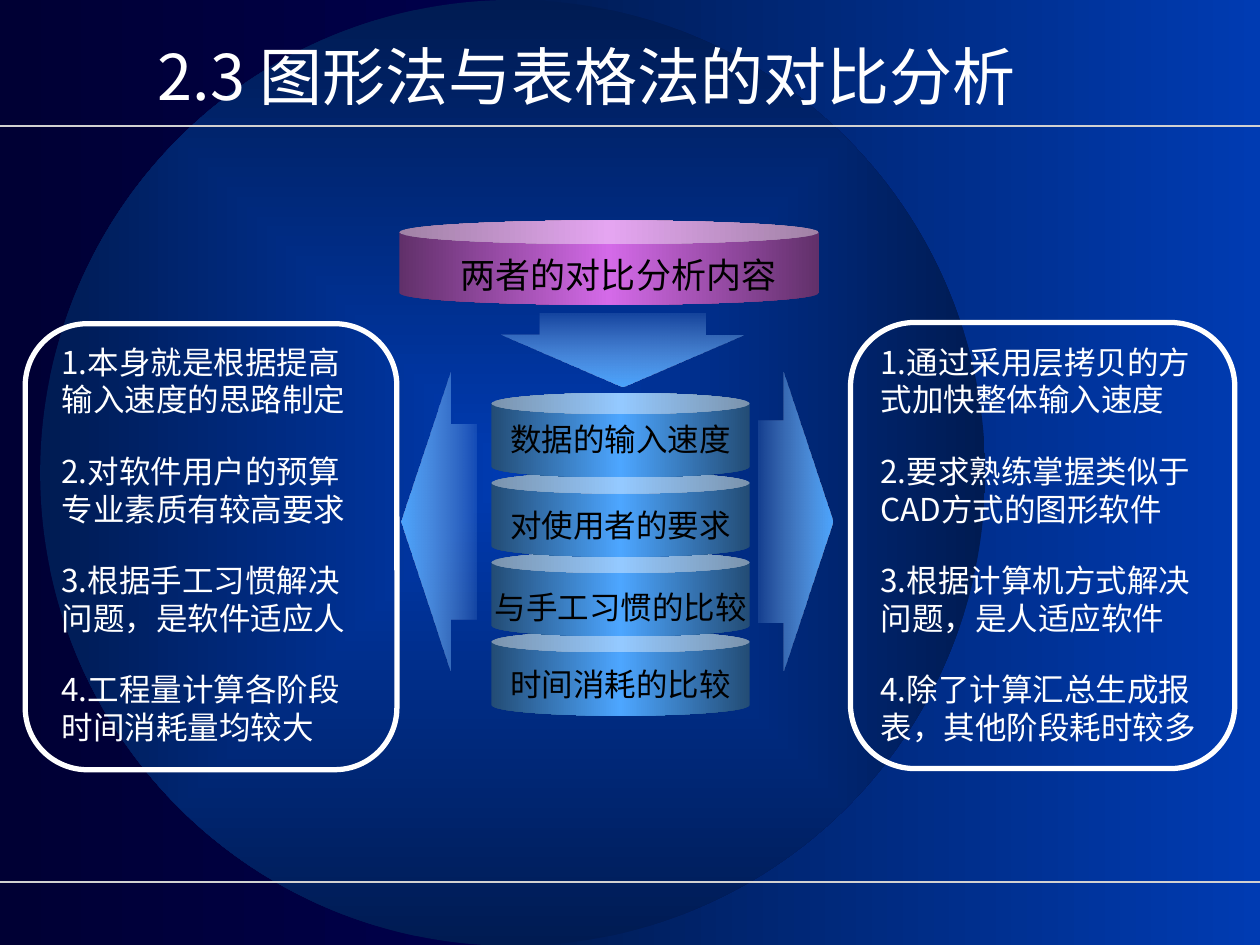
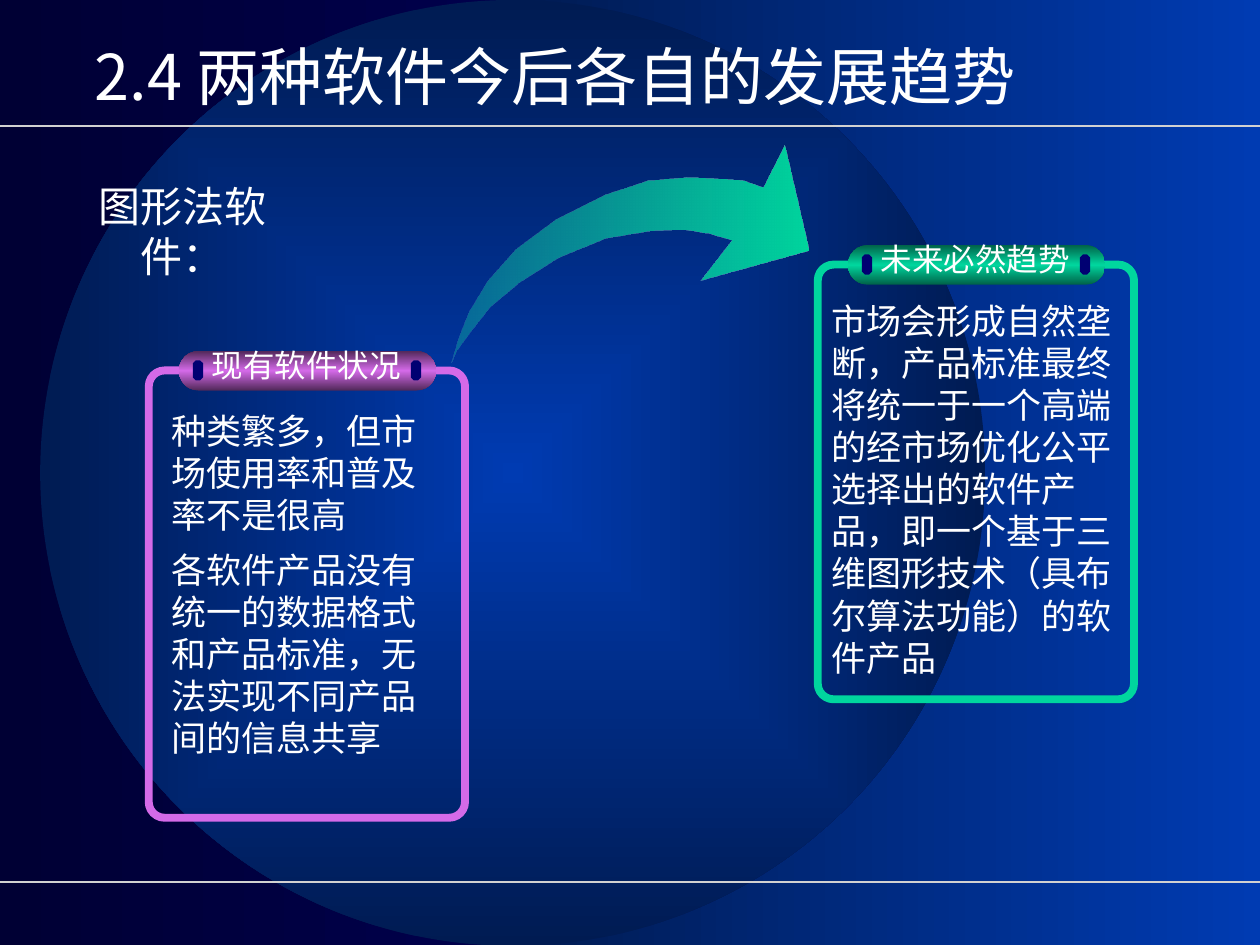
import pptx
import pptx.dml.color
import pptx.enum.shapes
import pptx.enum.text
import pptx.oxml
import pptx.oxml.ns
import pptx.util
from lxml import etree

Pt = pptx.util.Pt
RGBColor = pptx.dml.color.RGBColor
SHAPE = pptx.enum.shapes.MSO_SHAPE
ALIGN = pptx.enum.text.PP_ALIGN
ANCHOR = pptx.enum.text.MSO_ANCHOR
qn = pptx.oxml.ns.qn

WHITE = RGBColor(0xFF, 0xFF, 0xFF)
BLACK = RGBColor(0, 0, 0)
NAVY = RGBColor(0x00, 0x00, 0x72)
NIGHT = RGBColor(0x00, 0x00, 0x34)
ROYAL = RGBColor(0x00, 0x3B, 0xB2)
DEEP_ROYAL = RGBColor(0x00, 0x1B, 0x52)
RULE_GREY = RGBColor(0xD1, 0xD1, 0xD1)
SKY = RGBColor(0x4D, 0xA6, 0xFF)
PALE_SKY = RGBColor(0x9D, 0xCD, 0xFE)
DARK_SKY = RGBColor(0x23, 0x4C, 0x75)
VIOLET = RGBColor(0xD4, 0x6A, 0xE8)
DARK_VIOLET = RGBColor(0x61, 0x30, 0x6A)
DEEP_VIOLET = RGBColor(0x51, 0x28, 0x59)
GREEN = RGBColor(0x00, 0xD6, 0x9E)
PALE_GREEN = RGBColor(0x16, 0xD8, 0xA6)
DARK_GREEN = RGBColor(0x00, 0x62, 0x48)

CJK_FONT = "Noto Sans CJK SC"
LATIN_FONT = "Arial"
OPACITY = {PALE_SKY: 12, PALE_GREEN: 32}


def paint(shape, colors=(), angle=180, adjustments=(), outline=None, outline_width=3):
    """Fill with no, one or several evenly spaced colours; angle None spreads from the centre."""
    shape.shadow.inherit = False
    for index, value in enumerate(adjustments):
        shape.adjustments[index] = value
    if outline is None:
        shape.line.fill.background()
    else:
        shape.line.color.rgb = outline
        shape.line.width = Pt(outline_width)
    if not colors:
        shape.fill.background()
        return
    shape.fill.solid()
    shape.fill.fore_color.rgb = colors[0]
    if len(colors) == 1:
        return
    gradient = etree.Element(qn("a:gradFill"), rotWithShape="1")
    stops = etree.SubElement(gradient, qn("a:gsLst"))
    for index, color in enumerate(colors):
        position = 100000 * index // (len(colors) - 1)
        stop = etree.SubElement(stops, qn("a:gs"), pos=str(position))
        rgb = etree.SubElement(stop, qn("a:srgbClr"), val=str(color))
        if color in OPACITY:
            etree.SubElement(rgb, qn("a:alpha"), val=str(OPACITY[color] * 1000))
    if angle is None:
        spread = etree.SubElement(gradient, qn("a:path"), path="rect")
        etree.SubElement(spread, qn("a:fillToRect"), l="50000", t="50000", r="50000", b="50000")
    else:
        etree.SubElement(gradient, qn("a:lin"), ang=str(angle * 60000), scaled="0")
    solid = shape.element.spPr.find(qn("a:solidFill"))
    solid.getparent().replace(solid, gradient)


def add_text(slide, text, box, size, color=WHITE, font=LATIN_FONT,
             align=ALIGN.LEFT, anchor=ANCHOR.MIDDLE, wrap=True):
    shape = slide.shapes.add_textbox(*[Pt(length) for length in box])
    frame = shape.text_frame
    frame.word_wrap = wrap
    frame.vertical_anchor = anchor
    paragraph = frame.paragraphs[0]
    paragraph.alignment = align
    paragraph.line_spacing = Pt(1.2 * size)
    # Punctuation stays inside the box instead of hanging past its edge
    paragraph._p.get_or_add_pPr().set("hangingPunct", "0")
    run = paragraph.add_run()
    run.text = text
    run.font.size = Pt(size)
    run.font.name = font
    run.font.color.rgb = color
    etree.SubElement(run.font._element, qn("a:ea"), typeface=CJK_FONT)


presentation = pptx.Presentation()
presentation.slide_width, presentation.slide_height = Pt(720), Pt(540)
layout = presentation.slide_layouts[5]

# Shared background, title and rules
background = presentation.slide_master.background.fill
background.gradient()
background.gradient_angle = 180
for stop, color in zip(background.gradient_stops, (NAVY, NIGHT)):
    stop.color.rgb = color

slides = []
for title_text in ("2.3 图形法与表格法的对比分析", "2.4 两种软件今后各自的发展趋势"):
    slide = presentation.slides.add_slide(layout)
    title = slide.shapes.title
    title.left, title.top, title.width, title.height = Pt(23.76), Pt(10.08), Pt(563.76), Pt(66.24)
    title.text_frame.vertical_anchor = ANCHOR.MIDDLE
    paragraph = title.text_frame.paragraphs[0]
    paragraph.alignment = ALIGN.RIGHT
    run = paragraph.add_run()
    run.text = title_text
    run.font.size = Pt(36)
    run.font.name = CJK_FONT
    run.font.color.rgb = WHITE
    etree.SubElement(run.font._element, qn("a:ea"), typeface=CJK_FONT)
    slides.append(slide)
comparison, trend = slides

backdrop = []
for kind, box, angle in (
    (SHAPE.RECTANGLE, (294, 0, 426, 540), 180),
    (SHAPE.OVAL, (23, 0, 540, 540.5), None),
):
    shape = comparison.shapes.add_shape(kind, *[Pt(length) for length in box])
    paint(shape, (ROYAL, DEEP_ROYAL), angle)
    backdrop.append(shape)
for rule_top in (72, 504):
    rule = comparison.shapes.add_connector(
        pptx.enum.shapes.MSO_CONNECTOR.STRAIGHT, 0, Pt(rule_top), Pt(720), Pt(rule_top))
    rule.line.color.rgb = RULE_GREY
    rule.line.width = Pt(1)
    etree.SubElement(rule.element.spPr, qn("a:effectLst"))
    backdrop.append(rule)
# The backdrop moves to the layout, so both slides show it
for number, shape in enumerate(backdrop, start=20):
    shape.element.xpath(".//p:cNvPr")[0].set("id", str(number))
    layout.shapes.element.append(shape.element)

# Slide 1: comparison topics, stacked from the bottom up
CAN_PITCH = 45.4
topics = (
    ("数据的输入速度", 236.2),
    ("对使用者的要求", 285.8),
    ("与手工习惯的比较", 332.6),
    ("时间消耗的比较", 376.6),
)
for row, (topic, text_top) in reversed(list(enumerate(topics))):
    can = comparison.shapes.add_shape(
        SHAPE.CAN, Pt(280.8), Pt(224.6 + row * CAN_PITCH), Pt(147.6), Pt(48.2))
    paint(can, (DARK_SKY, SKY, DARK_SKY), adjustments=(0.25,))
    add_text(comparison, topic, (264.6, text_top, 180, 28.8), 18, BLACK,
             align=ALIGN.CENTER, anchor=ANCHOR.TOP, wrap=False)

for kind, box, colors, angle, adjustments in (
    (SHAPE.LEFT_ARROW, (229.7, 213.1, 42.5, 170), (PALE_SKY, SKY), 180, (0.656, 0.652)),
    (SHAPE.RIGHT_ARROW, (433.4, 213.1, 42.5, 170), (SKY, PALE_SKY), 180, (0.677, 0.662)),
    (SHAPE.DOWN_ARROW, (286.6, 179.3, 138.2, 41.8), (PALE_SKY, SKY), 90, (0.684, 0.708)),
    (SHAPE.CAN, (228.2, 126, 239.8, 48.2), (DARK_VIOLET, VIOLET, DARK_VIOLET), 180, (0.279,)),
):
    shape = comparison.shapes.add_shape(kind, *[Pt(length) for length in box])
    paint(shape, colors, angle, adjustments)
add_text(comparison, "两者的对比分析内容", (243.5, 141.1, 220, 31.7), 20, BLACK,
         align=ALIGN.CENTER, anchor=ANCHOR.TOP, wrap=False)

# Slide 1: one column of findings on each side
ITEM_PITCH = 62.4
columns = (
    ((14.4, 185, 212.4, 254.9), 28.1, 191, (
        "1.本身就是根据提高输入速度的思路制定",
        "2.对软件用户的预算专业素质有较高要求",
        "3.根据手工习惯解决问题，是软件适应人",
        "4.工程量计算各阶段时间消耗量均较大")),
    ((486, 184.3, 219.6, 254.9), 496.1, 202, (
        "1.通过采用层拷贝的方式加快整体输入速度",
        "2.要求熟练掌握类似于CAD方式的图形软件",
        "3.根据计算机方式解决问题，是人适应软件",
        "4.除了计算汇总生成报表，其他阶段耗时较多")),
)
for box, text_left, text_width, items in columns:
    border = comparison.shapes.add_shape(
        SHAPE.ROUNDED_RECTANGLE, *[Pt(length) for length in box])
    paint(border, adjustments=(0.167,), outline=WHITE)
    for row, item in enumerate(items):
        add_text(comparison, item,
                 (text_left, 192.2 + row * ITEM_PITCH, text_width, 50.4), 18, font=CJK_FONT)

# Slide 2: curved arrow from the present to the future
curve = (
    (257.8, 207.4), (261.4, 200.2), (268.6, 189.4), (280.1, 175), (296.6, 160.6),
    (319, 146.9), (346.3, 136.1), (370.8, 131.8), (391, 131), (405.4, 133.2),
    (418.3, 136.8), (399.6, 159.8), (462.2, 142.6), (447.8, 82.8), (435.6, 107.3),
    (424.1, 103), (410.4, 101.5), (392.4, 100.8), (370.1, 103), (345.6, 110.9),
    (318.2, 124.6), (295.2, 141.8), (278.6, 159.8), (267.8, 177.8), (262.1, 193),
    (259.2, 203.8),
)
builder = trend.shapes.build_freeform(*curve[0], scale=Pt(1))
builder.add_line_segments(curve[1:], close=True)
paint(builder.convert_to_shape(), (GREEN, PALE_GREEN))

# Slide 2: two framed panels with a pill-shaped heading
panels = (
    ("未来必然趋势", 467.3, 151.2, 248.4, GREEN, DARK_GREEN),
    ("现有软件状况", 85, 211.7, 255.6, VIOLET, DEEP_VIOLET),
)
for heading, left, top, height, color, shade in panels:
    frame = trend.shapes.add_shape(
        SHAPE.ROUNDED_RECTANGLE, Pt(left), Pt(top), Pt(180.7), Pt(height))
    paint(frame, adjustments=(0.05,), outline=color, outline_width=4.5)
    pill = trend.shapes.add_shape(
        SHAPE.ROUNDED_RECTANGLE, Pt(left + 17.3), Pt(top - 11.2), Pt(146.9), Pt(22.7))
    paint(pill, (shade, color, shade), 90, (0.5,))
    for offset in (25.2, 149.8):
        stud = trend.shapes.add_shape(
            SHAPE.OCTAGON, Pt(left + offset), Pt(top - 5.8), Pt(5.8), Pt(11.5))
        paint(stud, (NAVY,), adjustments=(0.293,))
    add_text(trend, heading, (left + 28.8, top - 17.6, 122.4, 28.8), 18, align=ALIGN.CENTER)

add_text(trend, "种类繁多，但市场使用率和普及率不是很高", (90.7, 230.4, 167.8, 79.2), 20)
add_text(trend, "各软件产品没有统一的数据格式和产品标准，无法实现不同产品间的信息共享",
         (90.7, 309.6, 164.2, 127.4), 20, font=CJK_FONT)
add_text(trend, "市场会形成自然垄断，产品标准最终将统一于一个高端的经市场优化公平选择出的软件产品，"
         "即一个基于三维图形技术（具布尔算法功能）的软件产品", (468, 167.8, 180.7, 223.2), 20)
add_text(trend, "图形法软件：", (28.1, 99.4, 152.6, 36), 24, font=CJK_FONT,
         align=ALIGN.CENTER, anchor=ANCHOR.TOP)

presentation.save("out.pptx")
